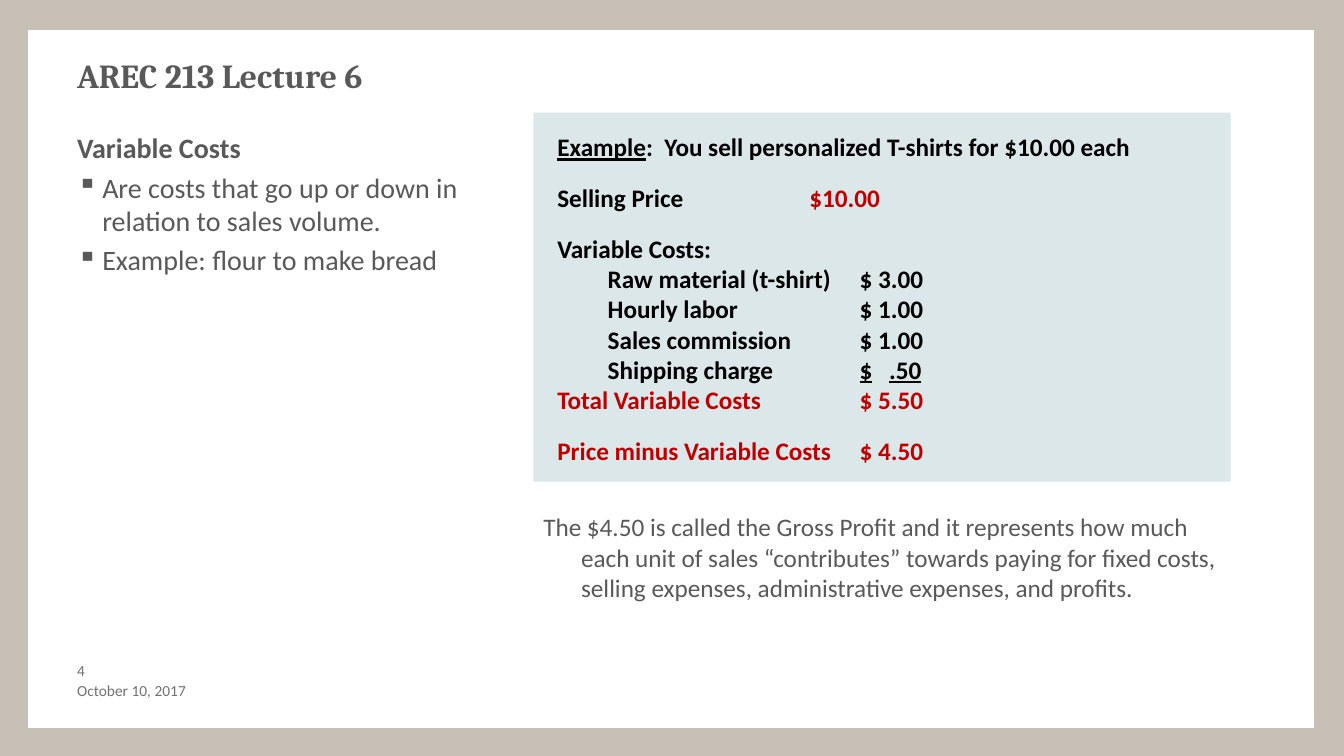
from lxml.etree import SubElement
from pptx import Presentation
from pptx.dml.color import RGBColor
from pptx.enum.shapes import MSO_SHAPE
from pptx.enum.text import MSO_ANCHOR
from pptx.oxml.ns import qn
from pptx.util import Pt

COLORS = {
    "frame": "C6C0B7", "page": "FFFFFF", "panel": "DCE7E9", "text": "595959",
    "footer": "717171", "black": "000000", "red": "C00000",
}
LABEL_TAB, PRICE_TAB, AMOUNT_TAB, CENTS_TAB = 36, 180, 216, 237
GAP = 14.65


def color(name):
    """Return the named palette colour."""
    return RGBColor.from_string(COLORS[name])


def add_rect(s, box, fill, line=None):
    """Draw a flat rectangle in the given box."""
    sp = s.shapes.add_shape(MSO_SHAPE.RECTANGLE, *map(Pt, box))
    sp.shadow.inherit = False
    sp.fill.solid()
    sp.fill.fore_color.rgb = color(fill)
    if line:
        sp.line.color.rgb = color(line)
        sp.line.width = Pt(0.75)
    else:
        sp.line.fill.background()


def add_box(s, box, insets=(7.2, 3.6, 7.2, 3.6), anchor=MSO_ANCHOR.TOP):
    """Add an empty wrapping text box and return its text frame."""
    tf = s.shapes.add_textbox(*map(Pt, box)).text_frame
    tf.word_wrap = True
    tf.vertical_anchor = anchor
    tf.margin_left, tf.margin_top, tf.margin_right, tf.margin_bottom = map(Pt, insets)
    return tf


def add_text(tf, text, size=18, fill="text", bold=False, underline=False,
             font="Calibri", before=0, hang=0, bullet=None, tabs=(), same=False):
    """Write text as a new paragraph, or add it to the last one if same."""
    p = tf.paragraphs[-1]
    if not same:
        if p.runs:
            p = tf.add_paragraph()
            p.space_before = Pt(before)
        pPr = p._p.get_or_add_pPr()
        if hang:
            pPr.set("marL", str(Pt(hang)))
            pPr.set("indent", str(-Pt(hang)))
        if bullet:
            SubElement(pPr, qn("a:buChar"), char=bullet)
        if tabs:
            tab_list = SubElement(pPr, qn("a:tabLst"))
            for pos in tabs:
                SubElement(tab_list, qn("a:tab"), pos=str(Pt(pos)), algn="l")
    r = p.add_run()
    r.text = text
    r.font.name, r.font.size = font, Pt(size)
    r.font.bold, r.font.underline = bold, underline
    r.font.color.rgb = color(fill)


def add_title(s, box):
    """Place the slide title."""
    add_text(add_box(s, box), "AREC 213 Lecture 6", size=24, bold=True, font="Cambria")


def add_definition(s, box):
    """Place the definition of variable costs."""
    tf = add_box(s, box)
    add_text(tf, "Variable Costs", size=20, bold=True)
    for text in ("Are costs that go up or down in relation to sales volume.",
                 "Example: flour to make bread"):
        add_text(tf, text, size=20, before=4, hang=18, bullet="▪")


def add_example(s, box):
    """Place the panel with the worked T-shirt example."""
    left, top, width, height = box
    add_rect(s, box, "panel")
    tf = add_box(s, (left + 10, top + 10, width - 18, height - 17))
    black = dict(fill="black", bold=True)
    red = dict(fill="red", bold=True)
    tabs = (LABEL_TAB, AMOUNT_TAB, CENTS_TAB)
    add_text(tf, "Example", underline=True, **black)
    add_text(tf, ":  You sell personalized T-shirts for $10.00 each", same=True, **black)
    add_text(tf, "Selling Price\t", before=GAP, tabs=(PRICE_TAB,), **black)
    add_text(tf, "$10.00", same=True, **red)
    add_text(tf, "Variable Costs:", before=GAP, **black)
    for label, amount in (("Raw material (t-shirt)", "$ 3.00"), ("Hourly labor", "$ 1.00"),
                          ("Sales commission", "$ 1.00"), ("Shipping charge", "$\t.50")):
        add_text(tf, f"\t{label}\t", tabs=tabs, **black)
        add_text(tf, amount, same=True, underline="\t" in amount, **black)
    add_text(tf, "Total Variable Costs\t$ 5.50", tabs=tabs, **red)
    add_text(tf, "Price minus Variable Costs\t$ 4.50", before=GAP, tabs=tabs, **red)


def add_conclusion(s, box):
    """Place the remark on gross profit."""
    add_text(add_box(s, box),
             "The $4.50 is called the Gross Profit and it represents how much each unit "
             "of sales “contributes” towards paying for fixed costs, selling expenses, "
             "administrative expenses, and profits.", hang=27)


def add_footer(s, box):
    """Stack the slide number and the date."""
    left, top, width, height = box
    row = height / 2
    for i, text in enumerate(("4", "October 10, 2017")):
        tf = add_box(s, (left, top + i * row, width, row), (7.2, 0, 7.2, 0), MSO_ANCHOR.MIDDLE)
        add_text(tf, text, size=11, fill="footer")


def main():
    """Build the slide and save it."""
    prs = Presentation()
    prs.slide_width, prs.slide_height = Pt(960), Pt(540)
    s = prs.slides.add_slide(prs.slide_layouts[6])
    s.background.fill.solid()
    s.background.fill.fore_color.rgb = color("frame")
    add_rect(s, (20.5, 22, 918, 498), "page", line="page")
    add_title(s, (48, 36, 864, 54))
    add_definition(s, (48, 90, 343, 360))
    add_example(s, (381, 80.5, 498, 263.5))
    add_conclusion(s, (381, 362, 498, 73))
    add_footer(s, (48, 471.6, 192, 28.8))
    prs.save("out.pptx")


if __name__ == "__main__":
    main()
